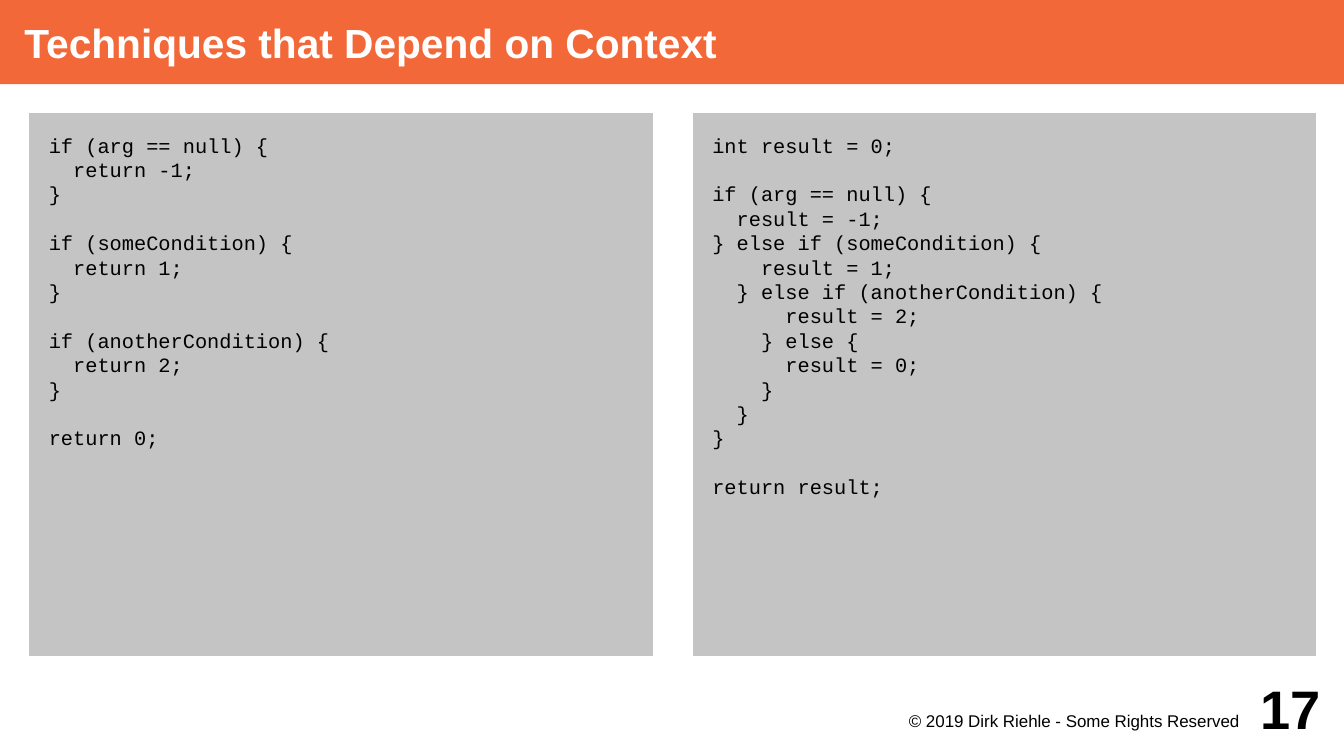
from pptx import Presentation
from pptx.dml.color import RGBColor
from pptx.enum.shapes import MSO_SHAPE as Shape
from pptx.enum.text import MSO_ANCHOR as Anchor, PP_ALIGN as Align
from pptx.util import Inches, Pt

WIDTH, HEIGHT = 11.02, 6.2
MARGIN = 0.2
ORANGE, GREY, WHITE, BLACK = "F36838", "C4C4C4", "FFFFFF", "000000"
LINE_PITCH = 14.4

EARLY_RETURNS = """\
if (arg == null) {
  return -1;
}

if (someCondition) {
  return 1;
}

if (anotherCondition) {
  return 2;
}

return 0;"""

SINGLE_RETURN = """\
int result = 0;

if (arg == null) {
  result = -1;
} else if (someCondition) {
    result = 1;
  } else if (anotherCondition) {
      result = 2;
    } else {
      result = 0;
    }
  }
}

return result;"""


def color(hex_text):
    return RGBColor.from_string(hex_text)


def add_panel(page, box, fill, line=None, line_width=0):
    panel = page.shapes.add_shape(Shape.RECTANGLE, *map(Inches, box))
    panel.shadow.inherit = False
    panel.fill.solid()
    panel.fill.fore_color.rgb = color(fill)
    if line:
        panel.line.color.rgb = color(line)
        panel.line.width = Pt(line_width)
    else:
        panel.line.fill.background()
    return panel


def set_frame(shape, insets, anchor=Anchor.TOP):
    """Set wrapping, anchor and insets (left, top, right, bottom)."""
    frame = shape.text_frame
    frame.word_wrap = True
    frame.vertical_anchor = anchor
    (frame.margin_left, frame.margin_top,
     frame.margin_right, frame.margin_bottom) = map(Inches, insets)
    return frame


def write(para, text, size, font="Arial", ink=BLACK, bold=False, align=Align.LEFT):
    para.alignment = align
    span = para.add_run()
    span.text = text
    span.font.name = font
    span.font.size = Pt(size)
    span.font.bold = bold
    span.font.color.rgb = color(ink)


def add_title(page, box, text):
    frame = set_frame(add_panel(page, box, ORANGE), (MARGIN, 0, 0, 0), Anchor.MIDDLE)
    write(frame.paragraphs[0], text, size=24, ink=WHITE, bold=True)


def add_code(page, box, code):
    """Show code in a grey panel; empty code lines become space before the next line."""
    panel = add_panel(page, box, GREY, line=WHITE, line_width=5.67)
    frame = set_frame(panel, (0.2, 0.2, 0.04, 0.04))
    for block_index, block in enumerate(code.split("\n\n")):
        for line_index, line in enumerate(block.split("\n")):
            first = block_index == line_index == 0
            para = frame.paragraphs[0] if first else frame.add_paragraph()
            para.line_spacing = Pt(LINE_PITCH)
            if block_index and line_index == 0:
                para.space_before = Pt(LINE_PITCH)
            write(para, line, size=12, font="Courier New")


def add_footer(page, box, notice, number):
    left, top, width, height = box
    number_width = 0.79
    notice_box = page.shapes.add_textbox(
        *map(Inches, (left, top + 0.3, 3.15, 0.3)))
    frame = set_frame(notice_box, (0, 0.02, 0.08, 0))
    write(frame.paragraphs[0], notice, size=10, align=Align.RIGHT)
    number_box = page.shapes.add_textbox(
        *map(Inches, (left + width - number_width, top, number_width, height)))
    frame = set_frame(number_box, (0, 0, 0, 0), Anchor.MIDDLE)
    write(frame.paragraphs[0], number, size=32, bold=True, align=Align.RIGHT)


def main():
    deck = Presentation()
    deck.slide_width, deck.slide_height = Inches(WIDTH), Inches(HEIGHT)
    page = deck.slides.add_slide(deck.slide_layouts[6])
    add_title(page, (0, 0, WIDTH, 0.69), "Techniques that Depend on Context")
    panel_width, gap = 5.19, 0.25
    for column, code in enumerate((EARLY_RETURNS, SINGLE_RETURN)):
        left = MARGIN + column * (panel_width + gap)
        add_code(page, (left, 0.89, panel_width, 4.53), code)
    add_footer(page, (7.09, 5.51, 3.74, 0.59),
               "© 2019 Dirk Riehle - Some Rights Reserved", "17")
    deck.save("out.pptx")


if __name__ == "__main__":
    main()
